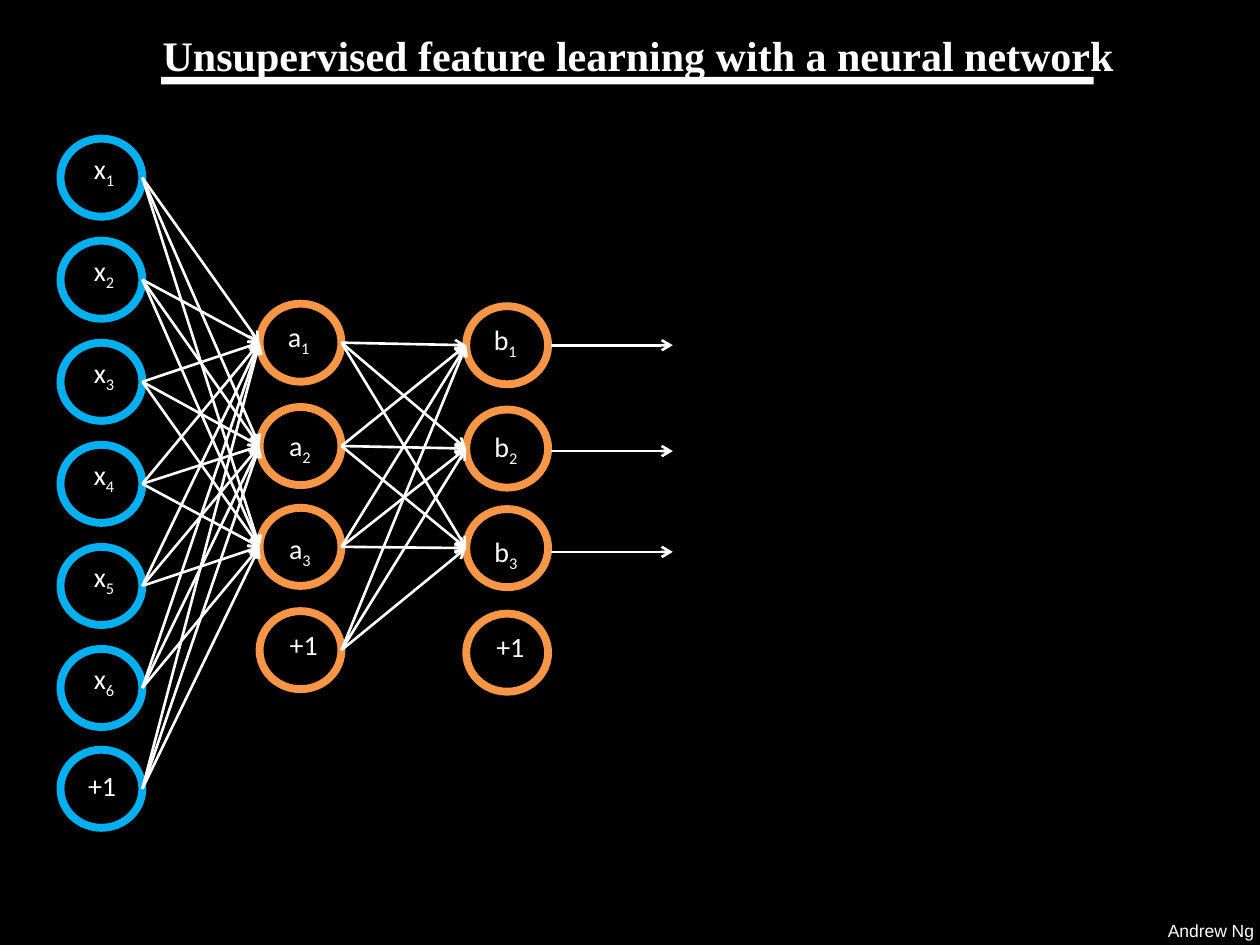
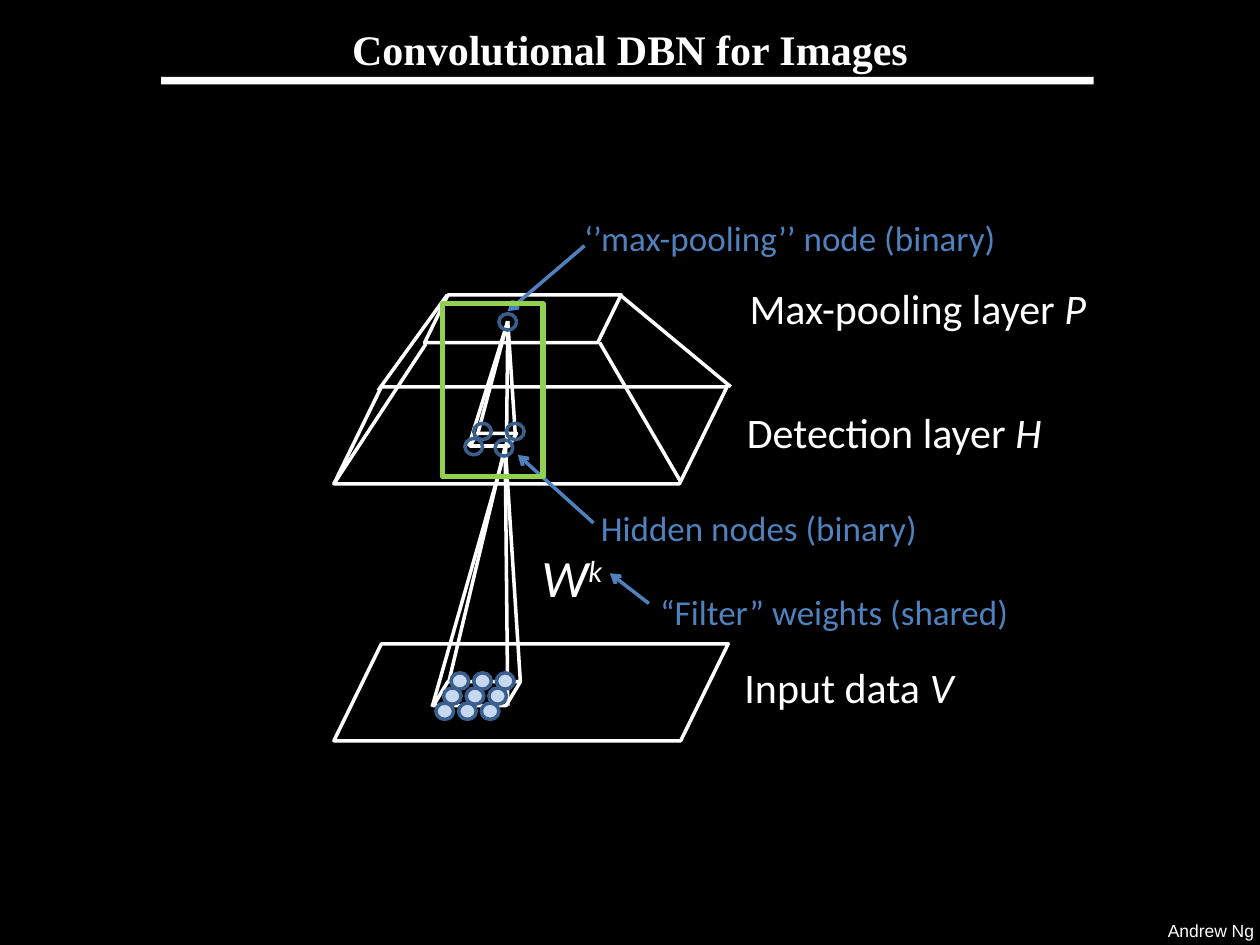
from lxml.etree import SubElement
from pptx import Presentation
from pptx.dml.color import RGBColor
from pptx.enum.shapes import MSO_CONNECTOR, MSO_SHAPE
from pptx.enum.text import MSO_ANCHOR, MSO_AUTO_SIZE, PP_ALIGN
from pptx.oxml.ns import qn
from pptx.util import Inches, Pt

BLACK = RGBColor(0x00, 0x00, 0x00)
WHITE = RGBColor(0xFF, 0xFF, 0xFF)
INPUT_BLUE = RGBColor(0x00, 0xB0, 0xF0)
HIDDEN_ORANGE = RGBColor(0xF7, 0x96, 0x46)
NOTE_BLUE = RGBColor(0x4F, 0x81, 0xBD)
NODE_BLUE = RGBColor(0x3A, 0x5F, 0x8C)
PALE_BLUE = RGBColor(0xC6, 0xD9, 0xF1)
GREEN = RGBColor(0x92, 0xD0, 0x50)

AUTHOR = "Andrew Ng"
TITLE_FONT, BODY_FONT, FOOTER_FONT = "Times New Roman", "Calibri", "Arial"

# Slide 1: each node is (letter, subscript, node top, label box)
NODE_WIDTH, NODE_HEIGHT = 0.65, 0.62
INPUT_TOP, INPUT_STEP, INPUT_COUNT = 1.10, 0.81, 6
INPUT_NODES = [
    ("x", str(row + 1), INPUT_TOP + row * INPUT_STEP,
     (0.6, INPUT_TOP + 0.05 + row * INPUT_STEP, 0.45, 0.43))
    for row in range(INPUT_COUNT)
] + [("+1", "", 5.95, (0.55, 6.05, 0.52, 0.43))]
A_NODES = [
    ("a", "1", 2.41, (2.18, 2.49, 0.38, 0.37)),
    ("a", "2", 3.23, (2.19, 3.35, 0.38, 0.37)),
    ("a", "3", 4.03, (2.19, 4.17, 0.38, 0.37)),
    ("+1", "", 4.85, (2.15, 4.93, 0.52, 0.43)),
]
B_NODES = [
    ("b", "1", 2.43, (3.81, 2.51, 0.40, 0.37)),
    ("b", "2", 3.25, (3.82, 3.36, 0.39, 0.37)),
    ("b", "3", 4.04, (3.82, 4.19, 0.39, 0.37)),
    ("+1", "", 4.87, (3.79, 4.95, 0.52, 0.43)),
]
LAYERS = [
    (0.48, INPUT_BLUE, INPUT_NODES),
    (2.06, HIDDEN_ORANGE, A_NODES),
    (3.70, HIDDEN_ORANGE, B_NODES),
]
OUTPUT_LEFT, OUTPUT_RIGHT = 4.37, 5.34
OUTPUT_HEIGHTS = [2.74, 3.58, 4.38]

# Slide 2: planes are (box, slant), lines are (start, end)
PLANES = [
    ((2.65, 5.11, 3.13, 0.77), 0.49),
    ((3.44, 5.41, 0.69, 0.19), 0.6),
    ((2.65, 3.07, 3.12, 0.77), 0.49),
    ((3.37, 2.34, 1.56, 0.38), 0.49),
    ((3.73, 3.44, 0.37, 0.10), 0.6),
]
FILTER_RAYS = [
    ((3.56, 5.42), (4.01, 3.54)),
    ((4.13, 5.41), (4.01, 3.54)),
    ((3.43, 5.61), (4.02, 3.54)),
    ((4.03, 5.60), (4.01, 3.61)),
]
POOLING_RAYS = [
    ((3.79, 3.45), (4.03, 2.55)),
    ((4.09, 3.45), (4.03, 2.55)),
    ((3.72, 3.54), (4.03, 2.55)),
    ((4.02, 3.54), (4.03, 2.59)),
]
FRUSTUM_EDGES = [
    ((3.38, 2.73), (2.65, 3.84)),
    ((4.76, 2.72), (5.40, 3.82)),
    ((4.92, 2.34), (5.80, 3.07)),
    ((3.55, 2.34), (3.00, 3.10)),
]
LAYER_LABELS = [
    ("Detection layer ", "H", (5.83, 3.18, 2.57, 0.51)),
    ("Max-pooling layer ", "P", (5.85, 2.19, 2.91, 0.51)),
    ("Input data ", "V", (5.81, 5.20, 1.88, 0.51)),
]
FILTER_SYMBOL_BOX = (4.20, 4.28, 0.70, 0.61)
NOTES = [
    ("Hidden nodes (binary)", (4.67, 3.97, 3.78, 0.44), (4.71, 4.15), (4.11, 3.61)),
    ("“Filter” weights (shared)", (5.14, 4.64, 3.78, 0.44), (5.15, 4.79), (4.84, 4.55)),
    ("‘’max-pooling’’ node (binary)", (4.54, 1.67, 4.37, 0.44), (4.64, 1.95), (4.03, 2.47)),
]
DOT_WIDTH, DOT_HEIGHT = 0.14, 0.13
PIXEL_LEFT, PIXEL_TOP, PIXEL_STEP, ROW_STEP, ROW_SHIFT = 3.58, 5.34, 0.18, 0.12, 0.06
BINARY_NODES = [(3.69, 3.48), (3.93, 3.49), (3.76, 3.36), (4.02, 3.36), (3.96, 2.49)]
HIGHLIGHT_BOX = (3.51, 2.41, 0.80, 1.37)


def to_inches(values):
    return [Inches(value) for value in values]


def add_outline(shapes, preset, box, line_color, line_width, fill_color=None):
    shape = shapes.add_shape(preset, *to_inches(box))
    shape.shadow.inherit = False
    if fill_color is None:
        shape.fill.background()
    else:
        shape.fill.solid()
        shape.fill.fore_color.rgb = fill_color
    shape.line.color.rgb = line_color
    shape.line.width = Pt(line_width)
    return shape


def add_line(shapes, start, end, color=WHITE, width=2.0, arrow=False):
    connector = shapes.add_connector(MSO_CONNECTOR.STRAIGHT, *to_inches(start + end))
    connector.line.color.rgb = color
    connector.line.width = Pt(width)
    if arrow:
        SubElement(connector.line._get_or_add_ln(), qn("a:tailEnd"), type="arrow")
    SubElement(connector.element.spPr, qn("a:effectLst"))


def add_run(paragraph, text, size, font=BODY_FONT, color=WHITE,
            bold=False, italic=False, baseline=0):
    """Add a run; baseline is a percentage, negative for a subscript."""
    run = paragraph.add_run()
    run.text = text
    run.font.name = font
    run.font.size = Pt(size)
    run.font.color.rgb = color
    run.font.bold = bold
    run.font.italic = italic
    if baseline:
        run.font._element.set("baseline", str(baseline * 1000))


def add_text_box(shapes, box, wrap=False, alignment=PP_ALIGN.LEFT):
    """Add a text box and return its first paragraph."""
    text_frame = shapes.add_textbox(*to_inches(box)).text_frame
    text_frame.word_wrap = wrap
    text_frame.auto_size = MSO_AUTO_SIZE.SHAPE_TO_FIT_TEXT
    paragraph = text_frame.paragraphs[0]
    paragraph.alignment = alignment
    return paragraph


def add_base_slide(presentation, title_text, title_box):
    """Add a slide with the shared footer, title bar and title."""
    slide = presentation.slides.add_slide(presentation.slide_layouts[5])
    footer = add_text_box(slide.shapes, (9.17, 7.25, 0.9, 0.27))
    add_run(footer, AUTHOR, 10, FOOTER_FONT)
    bar = add_outline(slide.shapes, MSO_SHAPE.RECTANGLE, (1.28, 0.61, 7.4, 0.06), WHITE, 0, WHITE)
    bar.line.fill.background()

    title = slide.shapes.title
    title.left, title.top, title.width, title.height = to_inches(title_box)
    text_frame = title.text_frame
    text_frame.word_wrap = True
    text_frame.auto_size = MSO_AUTO_SIZE.NONE
    text_frame.vertical_anchor = MSO_ANCHOR.MIDDLE
    paragraph = text_frame.paragraphs[0]
    paragraph.alignment = PP_ALIGN.CENTER
    add_run(paragraph, title_text, 24, TITLE_FONT, bold=True)
    return slide


def connect_layers(shapes, source, target):
    """Draw an arrow from every source node to every target node but the bias."""
    source_left, _, source_nodes = source
    target_left, _, target_nodes = target
    for _, _, target_top, _ in target_nodes[:-1]:
        for _, _, source_top, _ in source_nodes:
            add_line(shapes,
                     (source_left + NODE_WIDTH, source_top + NODE_HEIGHT / 2),
                     (target_left, target_top + NODE_HEIGHT / 2),
                     width=1.5, arrow=True)


def build_network_slide(presentation):
    slide = add_base_slide(presentation, "Unsupervised feature learning with a neural network",
                           (0.97, 0.24, 8.19, 0.39))
    shapes = slide.shapes
    for left, color, nodes in LAYERS:
        for letter, subscript, top, label_box in nodes:
            add_outline(shapes, MSO_SHAPE.OVAL, (left, top, NODE_WIDTH, NODE_HEIGHT), color, 4.5)
            label = add_text_box(shapes, label_box, alignment=PP_ALIGN.CENTER)
            add_run(label, letter, 16)
            if subscript:
                add_run(label, subscript, 16, baseline=-25)
    for source, target in zip(LAYERS, LAYERS[1:]):
        connect_layers(shapes, source, target)
    for height in OUTPUT_HEIGHTS:
        add_line(shapes, (OUTPUT_LEFT, height), (OUTPUT_RIGHT, height), width=1.5, arrow=True)


def build_convolution_slide(presentation):
    slide = add_base_slide(presentation, "Convolutional DBN for Images", (0.5, -0.24, 9, 1.25))
    shapes = slide.shapes

    diagram = shapes.add_group_shape().shapes
    for box, slant in PLANES:
        plane = add_outline(diagram, MSO_SHAPE.PARALLELOGRAM, box, WHITE, 2)
        plane.adjustments[0] = slant
    for start, end in FILTER_RAYS + POOLING_RAYS + FRUSTUM_EDGES:
        add_line(diagram, start, end)

    for text, symbol, box in LAYER_LABELS:
        label = add_text_box(shapes, box)
        add_run(label, text, 24)
        add_run(label, symbol, 24, italic=True)
    filter_symbol = add_text_box(shapes, FILTER_SYMBOL_BOX)
    add_run(filter_symbol, "W", 30, italic=True)
    add_run(filter_symbol, "k", 30, italic=True, baseline=30)

    for row in range(3):
        for column in range(3):
            left = PIXEL_LEFT + column * PIXEL_STEP - row * ROW_SHIFT
            top = PIXEL_TOP + row * ROW_STEP
            add_outline(shapes, MSO_SHAPE.OVAL, (left, top, DOT_WIDTH, DOT_HEIGHT),
                        NODE_BLUE, 2, PALE_BLUE)
    for left, top in BINARY_NODES:
        add_outline(shapes, MSO_SHAPE.OVAL, (left, top, DOT_WIDTH, DOT_HEIGHT), NODE_BLUE, 2)

    for text, box, start, end in NOTES:
        add_run(add_text_box(shapes, box, wrap=True), text, 20, color=NOTE_BLUE)
        add_line(shapes, start, end, NOTE_BLUE, arrow=True)
    add_outline(shapes, MSO_SHAPE.RECTANGLE, HIGHLIGHT_BOX, GREEN, 3)


def main():
    presentation = Presentation()
    presentation.slide_width, presentation.slide_height = Inches(10), Inches(7.5)
    background = presentation.slide_master.background.fill
    background.solid()
    background.fore_color.rgb = BLACK
    build_network_slide(presentation)
    build_convolution_slide(presentation)
    presentation.save("out.pptx")


if __name__ == "__main__":
    main()
